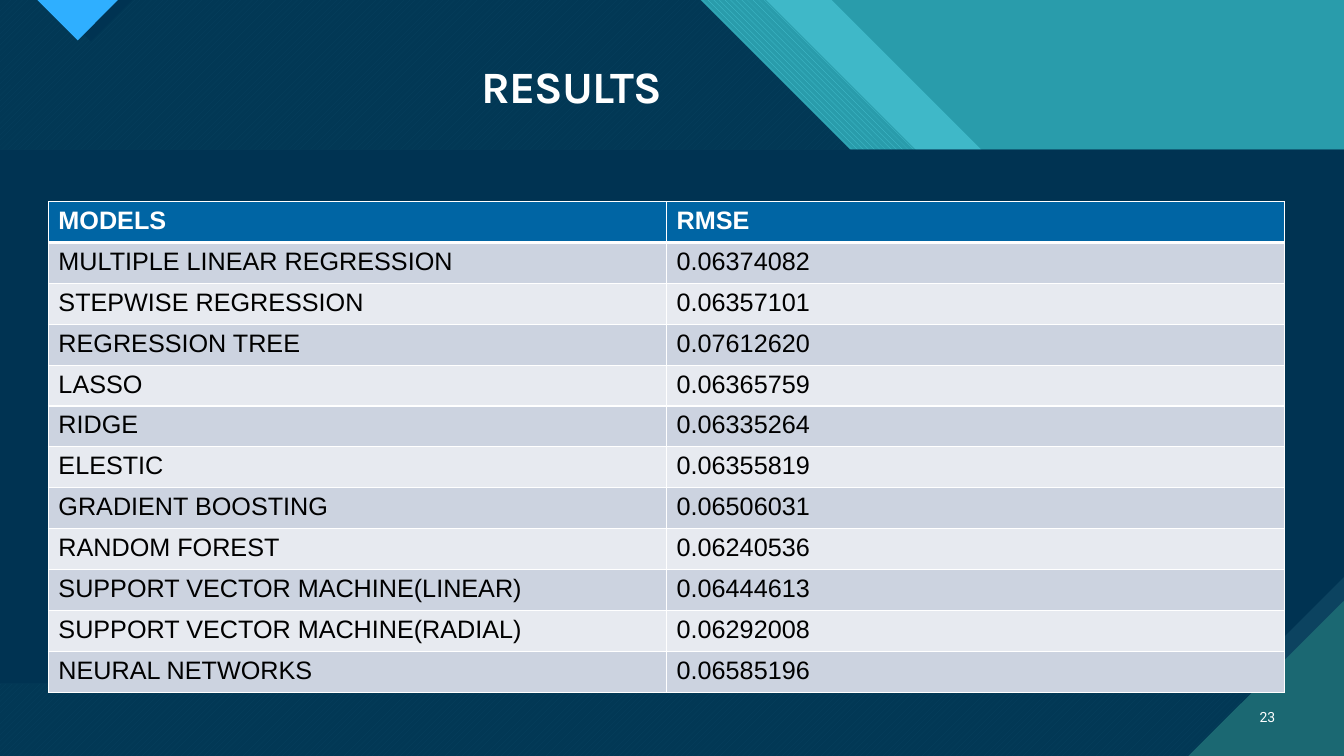
from lxml import etree
from pptx import Presentation
from pptx.dml.color import RGBColor
from pptx.enum.dml import MSO_PATTERN
from pptx.enum.shapes import MSO_SHAPE
from pptx.enum.text import MSO_ANCHOR, PP_ALIGN
from pptx.oxml.ns import qn
from pptx.util import Cm, Pt

WIDTH, HEIGHT = 33.87, 19.05
BEND = 7.54
SNIP_RECT = MSO_SHAPE.SNIP_1_RECTANGLE
DOWN_DIAGONAL = MSO_PATTERN.WIDE_DOWNWARD_DIAGONAL
UP_DIAGONAL = MSO_PATTERN.WIDE_UPWARD_DIAGONAL
MIDDLE = MSO_ANCHOR.MIDDLE
LEFT, RIGHT = PP_ALIGN.LEFT, PP_ALIGN.RIGHT

WHITE = RGBColor(0xFF, 0xFF, 0xFF)
BLACK = RGBColor(0x00, 0x00, 0x00)
TEAL = RGBColor(0x29, 0x9C, 0xAB)
AQUA = RGBColor(0x47, 0xC3, 0xD3)
DARK_TEAL = RGBColor(0x1B, 0x68, 0x72)
NAVY = RGBColor(0x00, 0x33, 0x52)
STEEL = RGBColor(0x0C, 0x43, 0x60)
SKY = RGBColor(0x2F, 0xAF, 0xFF)
HEADER_BLUE = RGBColor(0x00, 0x65, 0xA4)
ROW_DARK = RGBColor(0xCC, 0xD3, 0xE0)
ROW_LIGHT = RGBColor(0xE7, 0xEA, 0xF0)

RESULTS = [
    ("MODELS", "RMSE"),
    ("MULTIPLE LINEAR REGRESSION", "0.06374082"),
    ("STEPWISE REGRESSION", "0.06357101"),
    ("REGRESSION TREE", "0.07612620"),
    ("LASSO", "0.06365759"),
    ("RIDGE", "0.06335264"),
    ("ELESTIC", "0.06355819"),
    ("GRADIENT BOOSTING", "0.06506031"),
    ("RANDOM FOREST", "0.06240536"),
    ("SUPPORT VECTOR MACHINE(LINEAR)", "0.06444613"),
    ("SUPPORT VECTOR MACHINE(RADIAL)", "0.06292008"),
    ("NEURAL NETWORKS", "0.06585196"),
]


def paint(sp, color, pattern=None, back=None, alpha=100):
    """Fill a shape plainly or with a pattern, without line or shadow."""
    sp.shadow.inherit = False
    sp.line.fill.background()
    if pattern is None:
        sp.fill.solid()
        sp.fill.fore_color.rgb = color
    else:
        sp.fill.patterned()
        sp.fill.pattern = pattern
        sp.fill.fore_color.rgb = color
        sp.fill.back_color.rgb = back
    if alpha < 100:
        clr = sp._element.spPr.find(qn("a:solidFill")).find(qn("a:srgbClr"))
        etree.SubElement(clr, qn("a:alpha")).set("val", str(alpha * 1000))


def add_polygon(s, points, color, **style):
    """Draw a closed outline through points given in centimetres."""
    start, *rest = [(Cm(x), Cm(y)) for x, y in points]
    builder = s.shapes.build_freeform(*start, scale=1.0)
    builder.add_line_segments(rest, close=True)
    paint(builder.convert_to_shape(), color, **style)


def add_band(s, left, top_x, ledge, color, **style):
    """Draw a full-height layer whose right edge steps down at 45 degrees."""
    bend_x = top_x + BEND
    edge_y = BEND + WIDTH - bend_x - ledge
    points = [(left, 0), (top_x, 0), (bend_x, BEND), (bend_x + ledge, BEND),
              (WIDTH, edge_y), (WIDTH, HEIGHT), (left, HEIGHT)]
    add_polygon(s, points, color, **style)


def add_panel(s, snip, color):
    """Draw the content panel with its lower right corner snipped."""
    sp = s.shapes.add_shape(SNIP_RECT, Cm(0), Cm(3.77), Cm(WIDTH), Cm(13.46))
    sp.adjustments[0] = snip
    sp._element.spPr.find(qn("a:xfrm")).set("flipV", "1")
    paint(sp, color)


def add_run(p, text, font, size, color, bold=False):
    """Append a formatted run to a paragraph."""
    r = p.add_run()
    r.text = text
    r.font.name = font
    r.font.size = Pt(size)
    r.font.bold = bold
    r.font.color.rgb = color
    return r


def add_label(s, box, align):
    """Add a wrapped, middle-anchored text box and return its frame."""
    tf = s.shapes.add_textbox(*(Cm(v) for v in box)).text_frame
    tf.word_wrap = True
    tf.vertical_anchor = MIDDLE
    tf.paragraphs[0].alignment = align
    return tf


def add_title(s, text):
    """Add the slide title, set in from the left edge of its box."""
    tf = add_label(s, (1.24, 1.5, 31.14, 1.5), LEFT)
    tf.margin_left = Cm(10.9)
    tf.margin_top = tf.margin_bottom = Cm(0)
    p = tf.paragraphs[0]
    p.line_spacing = 0.9
    r = add_run(p, text, "Karla", 32, WHITE, bold=True)
    r.font._element.set("spc", "-70")


def set_borders(cell, bottom):
    """Give a cell white borders with its own bottom weight."""
    tc_pr = cell._tc.get_or_add_tcPr()
    sides = (("lnL", 1), ("lnR", 1), ("lnT", 1), ("lnB", bottom))
    for i, (side, weight) in enumerate(sides):
        ln = etree.Element(qn(f"a:{side}"), w=str(Pt(weight)))
        fill = etree.SubElement(ln, qn("a:solidFill"))
        etree.SubElement(fill, qn("a:srgbClr")).set("val", str(WHITE))
        tc_pr.insert(i, ln)


def add_results_table(s, rows):
    """Add the table of models and their errors."""
    table = s.shapes.add_table(len(rows), 2, Cm(1.22), Cm(5.08),
                               Cm(31.16), Cm(1.03 * len(rows))).table
    for i, row in enumerate(rows):
        header = i == 0
        fill = HEADER_BLUE if header else ROW_DARK if i % 2 else ROW_LIGHT
        for j, text in enumerate(row):
            cell = table.cell(i, j)
            cell.fill.solid()
            cell.fill.fore_color.rgb = fill
            set_borders(cell, 3 if header else 1)
            add_run(cell.text_frame.paragraphs[0], text, "Arial", 18,
                    WHITE if header else BLACK, bold=header)


def main():
    """Build the results slide."""
    prs = Presentation()
    prs.slide_width, prs.slide_height = Cm(WIDTH), Cm(HEIGHT)
    s = prs.slides.add_slide(prs.slide_layouts[6])
    s.background.fill.solid()
    s.background.fill.fore_color.rgb = TEAL

    add_band(s, 0, 20.96, 2.84, AQUA, alpha=74)
    add_band(s, 1.68, 19.3, 3.2, AQUA, pattern=DOWN_DIAGONAL, back=TEAL)
    add_band(s, 0, 17.65, 3.2, AQUA, pattern=UP_DIAGONAL, back=DARK_TEAL)
    add_band(s, 0, 17.65, 3.2, NAVY, alpha=90)
    add_polygon(s, [(1.22, 0), (2.29, 1.04), (3.33, 0)], NAVY)
    add_polygon(s, [(0.94, 0), (1.96, 1.02), (2.97, 0)], SKY)
    add_panel(s, 0, STEEL)
    add_panel(s, 0.2, NAVY)
    add_polygon(s, [(29.95, HEIGHT), (WIDTH, HEIGHT), (WIDTH, 15.14)], DARK_TEAL)

    add_title(s, "RESULTS")
    tf = add_label(s, (31.27, 17.55, 1.12, 1.02), RIGHT)
    add_run(tf.paragraphs[0], "23", "Roboto", 10, WHITE)
    add_results_table(s, RESULTS)
    prs.save("out.pptx")


if __name__ == "__main__":
    main()
